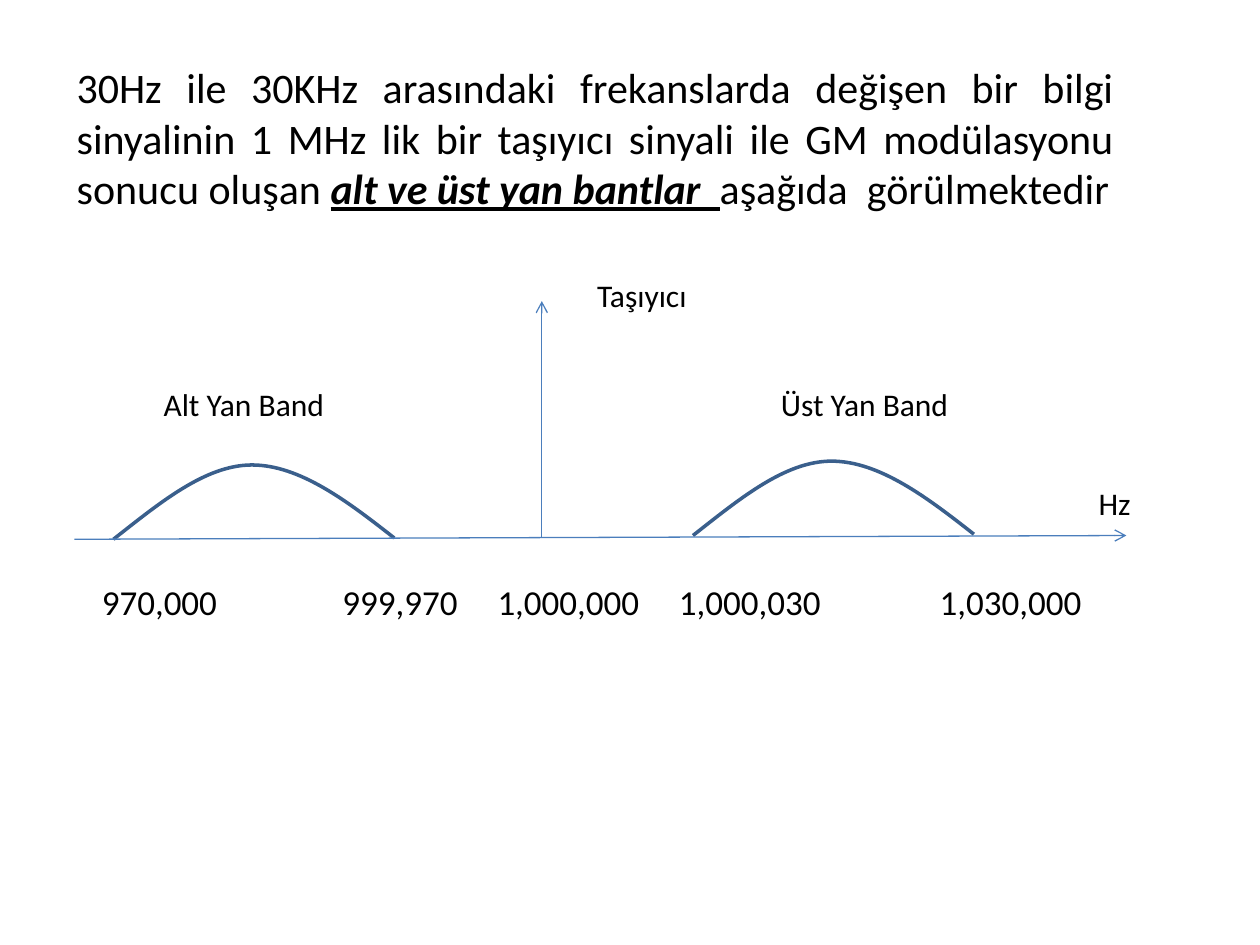
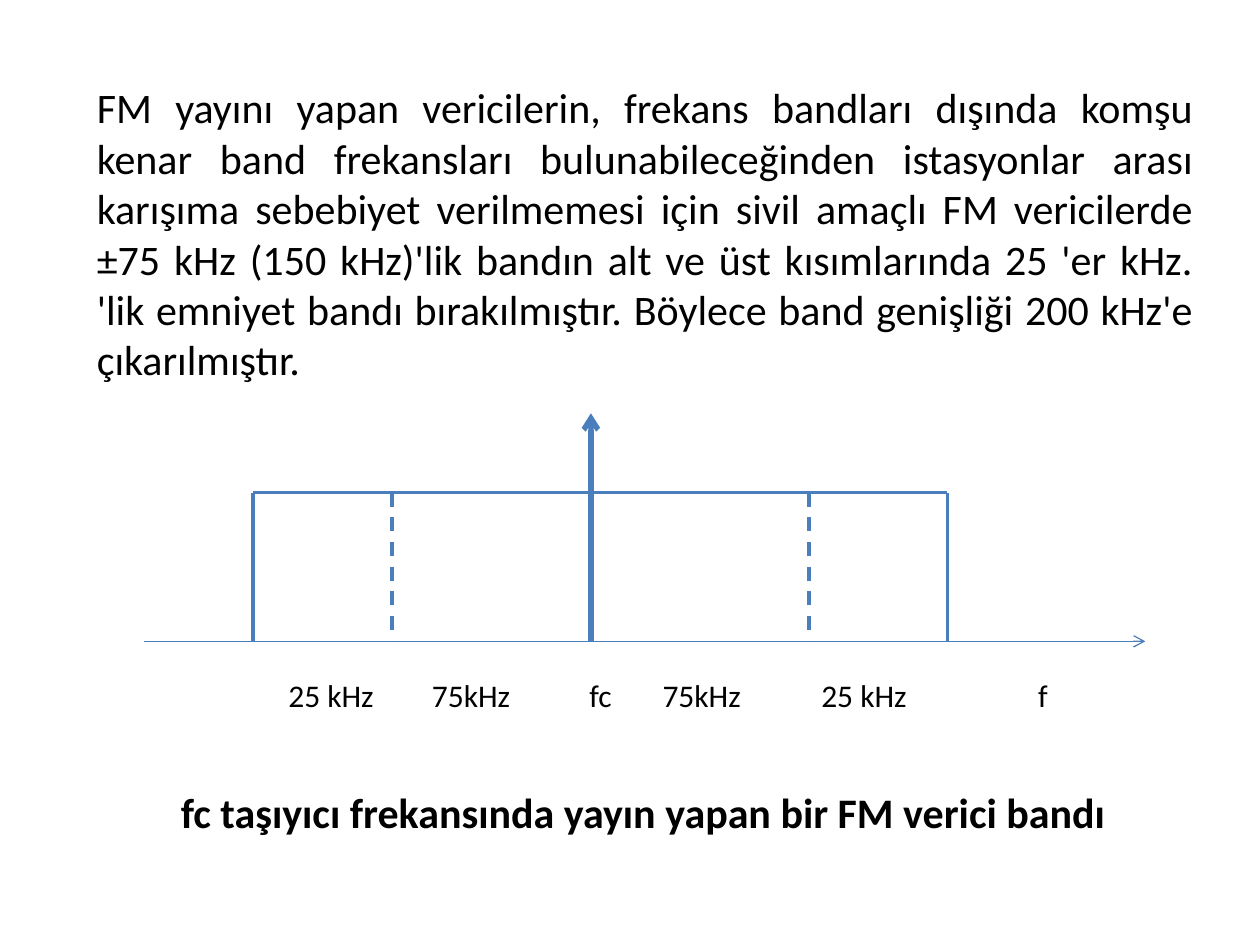
from lxml.etree import SubElement
from pptx import Presentation
from pptx.dml.color import RGBColor
from pptx.enum.dml import MSO_LINE
from pptx.enum.shapes import MSO_CONNECTOR
from pptx.enum.text import MSO_AUTO_SIZE, PP_ALIGN
from pptx.oxml.ns import qn
from pptx.util import Pt

PX = 9144  # EMU per px, 100 px to the inch


def rgb(value):
    return RGBColor.from_string(value)


def add_run(p, text, size=18, bold=False, italic=False, underline=False,
            color="000000", font="Calibri"):
    r = p.add_run()
    r.text = text
    f = r.font
    f.name, f.size, f.color.rgb = font, Pt(size), rgb(color)
    f.bold, f.italic, f.underline = bold, italic, underline


class Deck:
    AXIS = "4B7EBC"
    CURVE = "3A5F8C"

    def __init__(self, width, height):
        self.prs = Presentation()
        self.prs.slide_width = width * PX
        self.prs.slide_height = height * PX
        self.slide = None

    def new_slide(self):
        self.slide = self.prs.slides.add_slide(self.prs.slide_layouts[6])

    def text(self, x, y, w, h, *runs, align=PP_ALIGN.LEFT, **fmt):
        """Each run is a string or a (string, own format) pair."""
        sp = self.slide.shapes.add_textbox(x * PX, y * PX, w * PX, h * PX)
        tf = sp.text_frame
        tf.word_wrap = True
        tf.auto_size = MSO_AUTO_SIZE.SHAPE_TO_FIT_TEXT
        p = tf.paragraphs[0]
        p.alignment = align
        for run in runs:
            text, own = (run, {}) if isinstance(run, str) else run
            add_run(p, text, **{**fmt, **own})
        return p

    def scale_labels(self, y, w, h, labels, **fmt):
        """One row of (x, label) pairs, set at tab stops under an axis."""
        left = labels[0][0]
        p = self.text(left - 10, y, w, h,
                      "\t".join(label for _, label in labels), **fmt)
        tabs = SubElement(p._p.get_or_add_pPr(), qn("a:tabLst"))
        for x, _ in labels[1:]:
            SubElement(tabs, qn("a:tab"), pos=str((x - left) * PX), algn="l")

    def line(self, x1, y1, x2, y2, width=2, dash=False, arrow=False):
        cxn = self.slide.shapes.add_connector(
            MSO_CONNECTOR.STRAIGHT, x1 * PX, y1 * PX, x2 * PX, y2 * PX)
        cxn.line.color.rgb = rgb(self.AXIS)
        cxn.line.width = Pt(width)
        if dash:
            cxn.line.dash_style = MSO_LINE.DASH
        if arrow:
            SubElement(cxn.line._get_or_add_ln(), qn("a:tailEnd"), type="arrow")
        SubElement(cxn._element.spPr, qn("a:effectLst"))

    def curve(self, start, points, width=2):
        """Open Bézier curve: two control points and an end per segment."""
        fb = self.slide.shapes.build_freeform(*start, scale=PX)
        fb.add_line_segments(points, close=False)
        sp = fb.convert_to_shape()
        sp.shadow.inherit = False
        sp.fill.background()
        sp.line.color.rgb = rgb(self.CURVE)
        sp.line.width = Pt(width)
        # Regroup the straight segments into cubic ones
        path = next(sp._element.iter(qn("a:path")))
        steps = path.findall(qn("a:lnTo"))
        for i in range(0, len(steps), 3):
            cubic = SubElement(path, qn("a:cubicBezTo"))
            for step in steps[i:i + 3]:
                cubic.append(step[0])
                path.remove(step)


def side_bands(deck):
    deck.new_slide()
    deck.text(51, 44, 843, 131,
              "30Hz ile 30KHz arasındaki frekanslarda değişen bir bilgi sinyalinin "
              "1 MHz lik bir taşıyıcı sinyali ile GM modülasyonu sonucu oluşan ",
              ("alt ve üst yan bantlar  ",
               dict(bold=True, italic=True, underline=True)),
              "aşağıda  görülmektedir", align=PP_ALIGN.JUSTIFY, size=24)

    # Carrier and side bands
    deck.line(430, 427, 430, 239, width=0.75, arrow=True)
    for x, y in ((550, 425), (90, 428)):
        deck.curve((x, y), [(x + dx, y + dy) for dx, dy in (
            (37, -29), (73, -59), (110, -59),
            (148, -59), (186, -30), (223, -1))])
    deck.line(59, 428, 894, 425, width=0.75, arrow=True)

    # Labels
    for x, y, w, label in ((464, 214, 155, "Taşıyıcı"),
                           (610, 301, 164, "Üst Yan Band"),
                           (120, 301, 164, "Alt Yan Band"),
                           (862, 379, 78, "Hz")):
        deck.text(x, y, w, 40, label)
    deck.scale_labels(456, 859, 44, [
        (81, "970,000"), (272, "999,970"), (395, "1,000,000"),
        (539, "1,000,030"), (746, "1,030,000")], size=20)


def transmitter_band(deck):
    deck.new_slide()
    deck.text(67, 60, 890, 252,
              "FM yayını yapan vericilerin, frekans bandları dışında komşu kenar "
              "band frekansları bulunabileceğinden istasyonlar arası karışıma "
              "sebebiyet verilmemesi için sivil amaçlı FM vericilerde ±75 kHz "
              "(150 kHz)'lik bandın alt ve üst kısımlarında 25 'er kHz. 'lik "
              "emniyet bandı bırakılmıştır. Böylece band genişliği 200 kHz'e "
              "çıkarılmıştır.", align=PP_ALIGN.JUSTIFY, size=24)

    # Frequency axis and carrier
    top, base, carrier = 391, 509, 469
    deck.line(114, base, 909, base, width=0.75, arrow=True)
    deck.line(carrier, base, carrier, 328, width=3, arrow=True)

    # Band with its guard bands
    edges = (201, 311, 642, 752)
    for left, right in zip(edges, edges[1:]):
        deck.line(left, top, right, top)
    for x in edges:
        deck.line(x, top, x, base, dash=x in edges[1:3])

    # Labels and caption
    deck.scale_labels(532, 706, 40, [
        (229, "25 kHz"), (343, "75kHz"), (468, "fc"),
        (526, "75kHz"), (652, "25 kHz"), (824, "f")])
    deck.text(113, 619, 795, 50,
              "fc taşıyıcı frekansında yayın yapan bir FM verici bandı",
              align=PP_ALIGN.CENTER, size=24, bold=True)


def main():
    deck = Deck(1000, 750)
    side_bands(deck)
    transmitter_band(deck)
    deck.prs.save("out.pptx")


if __name__ == "__main__":
    main()
